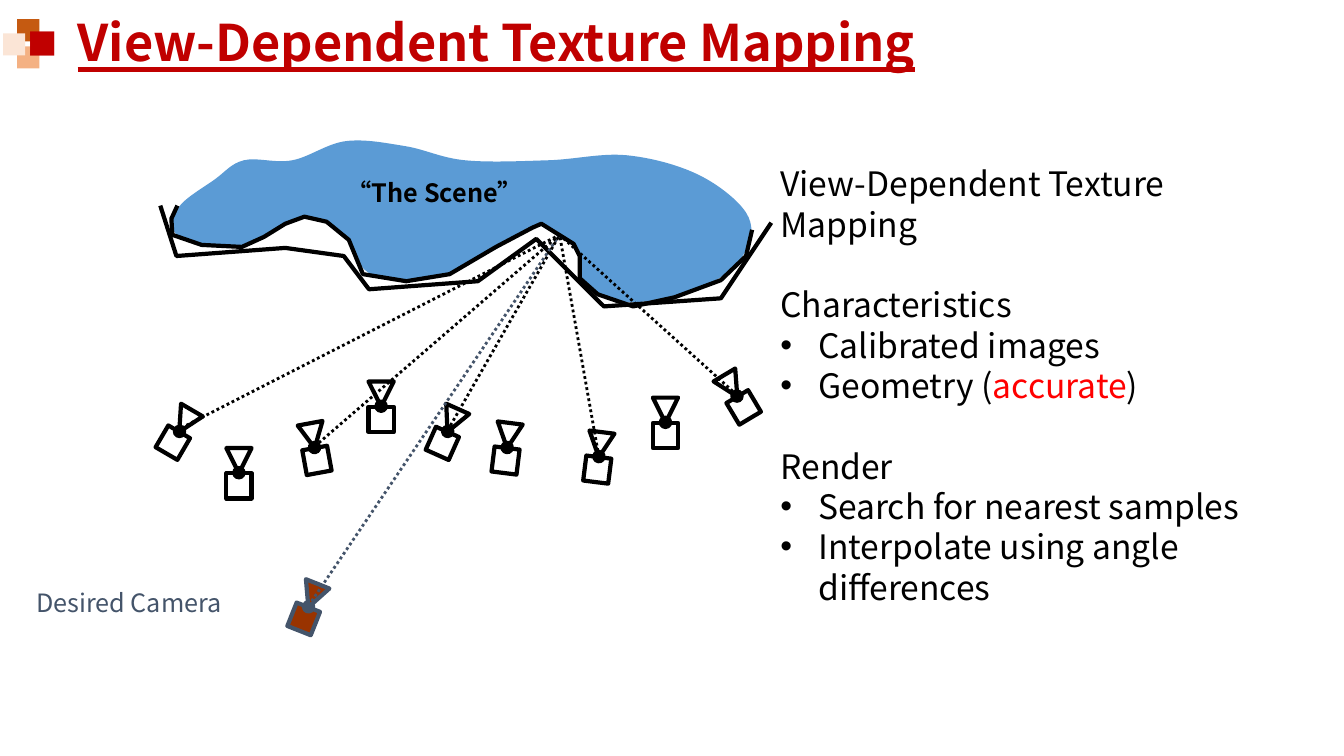
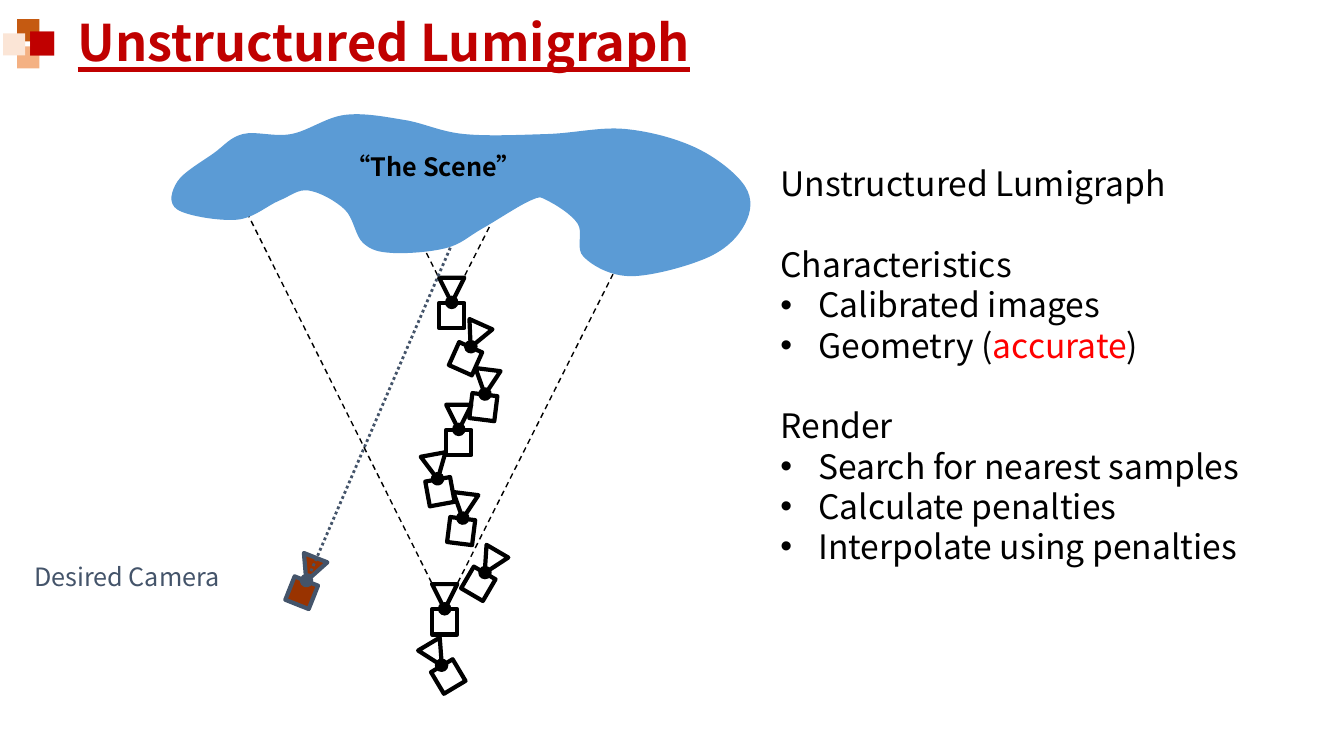
import math

from lxml import etree
from pptx import Presentation
from pptx import util as u
from pptx.dml.color import RGBColor
from pptx.enum import dml, shapes, text
from pptx.oxml.ns import qn

PX = u.Inches(1) // 100  # 100 px to the inch
COLORS = {
    "title": "C00000", "accent": "FF0000", "ink": "000000", "paper": "FFFFFF",
    "scene": "5B9BD5", "slate": "44546A", "rust": "993300",
    "peach": "F4B183", "orange": "C55A11", "cream": "FBE5D6",
}
TITLE_FONT, BODY_FONT = "Noto Sans CJK SC", "Noto Sans CJK TC"
LINE_HEIGHT = 1.2

TITLE_BOX = (17, 11, 1150, 68)
TITLE_INDENT = 50
MOTIF = [  # left, top, colour
    (17, 46, "peach"), (17, 19, "orange"), (3, 33, "cream"),
]
MOTIF_SIDE = 22
SCENE = [
    (213, 178), (177, 206), (177, 234), (236, 244), (278, 225), (307, 215),
    (343, 234), (361, 267), (390, 277), (444, 272), (479, 253), (527, 225),
    (544, 225), (574, 248), (580, 281), (627, 300), (704, 281), (740, 248),
    (740, 211), (692, 173), (621, 154), (544, 159), (461, 159), (402, 145),
    (343, 140), (290, 159), (242, 159),
]
SCENE_LABEL = ("“The Scene”", (334, 171, 195, 40), "ink", True)
DESIRED_LABEL = ("Desired Camera", (26, 578, 209, 40), "slate", False)
DESIRED_CAMERA = (306, 602, 21.7)

COARSE_GEOMETRY = [
    (159, 204), (175, 254), (283, 246), (341, 254), (366, 287), (474, 279),
    (532, 237), (599, 304), (715, 296), (765, 221),
]
FINE_GEOMETRY = [
    (176, 204), (170, 217), (171, 233), (200, 243), (240, 245), (262, 235),
    (283, 222), (302, 215), (324, 220), (346, 238), (360, 272), (403, 279),
    (446, 272), (492, 245), (528, 226), (537, 222), (569, 242), (575, 254),
    (575, 276), (593, 292), (628, 304), (669, 295), (715, 278), (740, 254),
    (746, 228),
]
SURFACE_POINT = (555, 233)
CHARACTERISTICS = ("Characteristics", ["Calibrated images", "Geometry (*accurate*)"])

# Cameras are (pivot x, pivot y, degrees); rays are (start, end, colour, dash).
PAGES = [
    {
        "title": "View-Dependent Texture Mapping",
        "scene_shift": (0, 0),
        "desired_shift": (0, 0),
        "cameras": [
            (178, 428, 30.3), (444, 428, 24.1), (237, 469, 0),
            (312, 444, -10.4), (378, 403, 0), (594, 453, 7.2),
            (503, 444, 7.1), (731, 393, -30.8), (660, 419, 0),
        ],
        "outlines": [COARSE_GEOMETRY, FINE_GEOMETRY],
        "rays": [((306, 601), SURFACE_POINT, "slate", "dots")] + [
            (start, SURFACE_POINT, "ink", "dots")
            for start in [(444, 427), (594, 453), (731, 392), (312, 443), (175, 427)]
        ],
        "notes_box": (764, 157, 502, 495),
        "sections": [
            ("View-Dependent Texture Mapping", []),
            CHARACTERISTICS,
            ("Render", ["Search for nearest samples",
                        "Interpolate using angle differences"]),
        ],
    },
    {
        "title": "Unstructured Lumigraph",
        "scene_shift": (-1, -26),
        "desired_shift": (-2, -26),
        "cameras": [
            (481, 568, 30.3), (467, 344, 24.1), (441, 604, 0),
            (434, 475, -10.4), (448, 300, 0), (459, 514, 7.2),
            (481, 391, 7.1), (438, 660, -30.8), (455, 426, 0),
        ],
        "outlines": [],
        "rays": [
            ((447, 299), (422, 249), "ink", "dashes"),
            ((448, 299), (487, 222), "ink", "dashes"),
            ((441, 604), (247, 215), "ink", "dashes"),
            ((441, 604), (608, 272), "ink", "dashes"),
            ((304, 577), (447, 245), "slate", "dots"),
        ],
        "notes_box": (764, 157, 491, 454),
        "sections": [
            ("Unstructured Lumigraph", []),
            CHARACTERISTICS,
            ("Render", ["Search for nearest samples", "Calculate penalties",
                        "Interpolate using penalties"]),
        ],
    },
]
DASHES = {"dots": (dml.MSO_LINE.ROUND_DOT, 2), "dashes": (dml.MSO_LINE.DASH, 1)}


def rgb(name):
    return RGBColor.from_string(COLORS[name])


def emu(*lengths):
    return [round(length * PX) for length in lengths]


def assign(target, **values):
    for name, value in values.items():
        setattr(target, name, value)


def place(shape, box):
    assign(shape, **dict(zip(("left", "top", "width", "height"), emu(*box))))


def moved(points, shift):
    return [(x + shift[0], y + shift[1]) for x, y in points]


def paint(shape, fill=None, line=None, weight=3):
    shape.shadow.inherit = False
    if fill:
        shape.fill.solid()
        shape.fill.fore_color.rgb = rgb(fill)
    else:
        shape.fill.background()
    if line:
        shape.line.color.rgb = rgb(line)
        shape.line.width = u.Pt(weight)
    else:
        shape.line.fill.background()


def add_preset(page, kind, box, rotation=0, **look):
    shape = page.shapes.add_shape(kind, *emu(*box))
    shape.rotation = rotation % 360
    paint(shape, **look)
    return shape


def add_outline(page, points, close=False, **look):
    points = [emu(*point) for point in points]
    builder = page.shapes.build_freeform(*points[0])
    builder.add_line_segments(points[1:], close=close)
    shape = builder.convert_to_shape()
    paint(shape, **look)
    return shape


def add_smooth_loop(page, anchors, **look):
    """Closed Catmull-Rom curve through the anchors, as Bézier segments."""
    count = len(anchors)
    points = [anchors[0]]
    for i in range(count):
        before, start, end, after = (anchors[(i + k) % count] for k in (-1, 0, 1, 2))
        points += [
            tuple(s + (e - b) / 6 for b, s, e in zip(before, start, end)),
            tuple(e - (a - s) / 6 for s, e, a in zip(start, end, after)),
            end,
        ]
    shape = add_outline(page, points, close=True, **look)
    segments = shape.element.xpath(".//a:lnTo")
    for first in range(0, 3 * count, 3):
        curve = etree.Element(qn("a:cubicBezTo"))
        segments[first].addprevious(curve)
        for segment in segments[first:first + 3]:
            curve.append(segment[0])
            segment.getparent().remove(segment)


def add_camera(page, camera, line="ink", body="paper", lens=None):
    x, y, degrees = camera
    angle = math.radians(degrees)

    def box(size, offset):
        """Square box whose centre lies offset px along the camera's axis."""
        return (x - offset * math.sin(angle) - size / 2,
                y + offset * math.cos(angle) - size / 2, size, size)

    kinds = shapes.MSO_SHAPE
    add_preset(page, kinds.RECTANGLE, box(25, 13), degrees, fill=body, line=line)
    add_preset(page, kinds.OVAL, box(12, 0), degrees, fill=line, line=line, weight=1)
    add_preset(page, kinds.ISOSCELES_TRIANGLE, box(25, -12), degrees + 180,
               fill=lens, line=line)


def add_ray(page, start, end, color, dash):
    ray = page.shapes.add_connector(shapes.MSO_CONNECTOR.STRAIGHT, *emu(*start, *end))
    style, weight = DASHES[dash]
    ray.line.color.rgb = rgb(color)
    assign(ray.line, width=u.Pt(weight), dash_style=style)
    etree.SubElement(ray.element.spPr, qn("a:effectLst"))


def set_bullet(para, margin, indent, *elements):
    properties = para._p.get_or_add_pPr()
    properties.set("marL", str(margin * PX))
    properties.set("indent", str(indent * PX))
    for tag, values in elements:
        etree.SubElement(properties, qn(tag), values)


def add_span(para, words, size, color, name=BODY_FONT, **values):
    span = para.add_run()
    span.text = words
    assign(span.font, size=u.Pt(size), name=name, **values)
    span.font.color.rgb = rgb(color)


def add_label(page, label, shift):
    words, (left, top, width, height), color, bold = label
    box = page.shapes.add_textbox(*emu(left + shift[0], top + shift[1], width, height))
    box.text_frame.word_wrap = False
    para = box.text_frame.paragraphs[0]
    para.line_spacing = u.Pt(18 * LINE_HEIGHT)
    add_span(para, words, 18, color, bold=bold)


def fill_title(page, words):
    frame = page.shapes.title.text_frame
    assign(frame, vertical_anchor=text.MSO_ANCHOR.MIDDLE, word_wrap=True,
           auto_size=text.MSO_AUTO_SIZE.NONE)
    para = frame.paragraphs[0]
    set_bullet(para, TITLE_INDENT, -TITLE_INDENT,
               ("a:buSzPct", {"val": "60000"}),
               ("a:buFont", {"typeface": TITLE_FONT}),
               ("a:buChar", {"char": "■"}))
    assign(para, alignment=text.PP_ALIGN.LEFT, line_spacing=0.9)
    add_span(para, words, 36, "title", TITLE_FONT, bold=True,
             underline=text.MSO_UNDERLINE.HEAVY_LINE)


def fill_notes(page, box, sections):
    """Headings without bullets, items with the template's bullets."""
    body = page.placeholders[1]
    place(body, box)
    frame = body.text_frame
    assign(frame, word_wrap=True, auto_size=text.MSO_AUTO_SIZE.NONE,
           vertical_anchor=text.MSO_ANCHOR.TOP)
    line = u.Pt(24 * LINE_HEIGHT)
    lines = [(words, level) for heading, items in sections
             for words, level in [(heading, 0)] + [(item, 1) for item in items]]
    for i, (words, level) in enumerate(lines):
        para = frame.add_paragraph() if i else frame.paragraphs[0]
        if level == 0:
            set_bullet(para, 0, 0, ("a:buNone", {}))
        assign(para, line_spacing=line, space_before=line if i and level == 0 else 0)
        for k, part in enumerate(words.split("*")):
            add_span(para, part, 24, "accent" if k % 2 else "ink")


def share_motif(page, layout):
    """Draw the corner squares and move them to the layout."""
    for i, (left, top, color) in enumerate(MOTIF):
        square = add_preset(page, shapes.MSO_SHAPE.RECTANGLE,
                            (left, top, MOTIF_SIDE, MOTIF_SIDE), fill=color)
        square.element.xpath("./p:nvSpPr/p:cNvPr")[0].set("id", str(100 + i))
        layout.shapes.element.append(square.element)


def build_page(page, content):
    scene_shift, desired_shift = content["scene_shift"], content["desired_shift"]
    fill_title(page, content["title"])
    fill_notes(page, content["notes_box"], content["sections"])
    add_smooth_loop(page, moved(SCENE, scene_shift), fill="scene")
    add_label(page, SCENE_LABEL, scene_shift)
    add_label(page, DESIRED_LABEL, desired_shift)
    for camera in content["cameras"]:
        add_camera(page, camera)
    pivot = moved([DESIRED_CAMERA[:2]], desired_shift)[0]
    add_camera(page, (*pivot, DESIRED_CAMERA[2]), "slate", "rust", "rust")
    for points in content["outlines"]:
        add_outline(page, points, line="ink")
    for ray in content["rays"]:
        add_ray(page, *ray)


def main():
    deck = Presentation()
    assign(deck, slide_width=u.Inches(13.33), slide_height=u.Inches(7.5))
    layout = deck.slide_layouts[1]
    place(layout.placeholders[0], TITLE_BOX)
    for i, content in enumerate(PAGES):
        page = deck.slides.add_slide(layout)
        if i == 0:
            share_motif(page, layout)
        build_page(page, content)
    deck.save("out.pptx")


if __name__ == "__main__":
    main()
